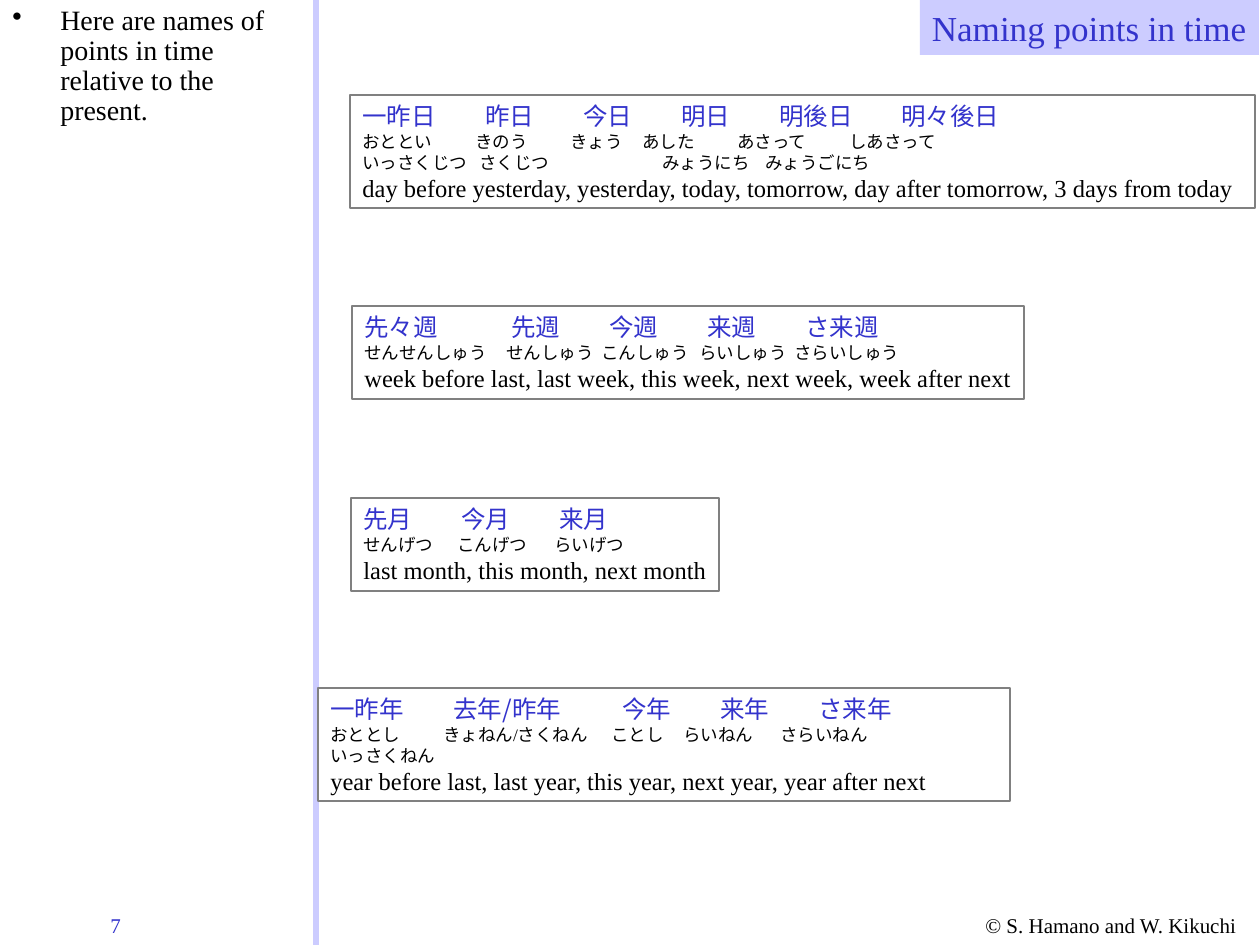
from lxml import etree
from pptx import Presentation
from pptx import util as u
from pptx.dml.color import RGBColor
from pptx.enum import shapes, text
from pptx.oxml.ns import qn

SERIF, SANS = "Times New Roman", "Noto Sans CJK JP"
BLUE, PALE, GRAY, BLACK = "3333CC", "CCCCFF", "808080", "000000"
KANJI = dict(size=14, name=SANS, color=BLUE)
KANA = dict(size=10, name=SERIF, color=BLACK)
GLOSS = dict(size=14, name=SERIF, color=BLACK)
SMALL = dict(size=12, name=SERIF, color=BLACK)
PAGE = dict(size=12, name=SERIF, color=BLUE)
HEAD = dict(size=20, name=SERIF, color=BLUE)
BODY = dict(size=16, name=SERIF, color=BLACK)

# Each row: words, tab stops in px, format
BOXES = [
    ((350, 95, 905, 113), [
        (["一昨日", "昨日", "今日", "明日", "明後日", "明々後日"], [123, 221, 319, 417, 539], KANJI),
        (["おととい", "きのう", "きょう", "あした", "あさって", "しあさって"],
         [113, 208, 280, 375, 487], KANA),
        (["いっさくじつ", "さくじつ", "みょうにち", "みょうごにち"], [117, 300, 403], KANA),
        (["day before yesterday, yesterday, today, tomorrow, "
          "day after tomorrow, 3 days from today"], [], GLOSS)]),
    ((352, 306, 672, 93), [
        (["先々週", "先週", "今週", "来週", "さ来週"], [147, 245, 343, 441], KANJI),
        (["せんせんしゅう", "せんしゅう", "こんしゅう", "らいしゅう", "さらいしゅう"],
         [142, 237, 335, 430], KANA),
        (["week before last, last week, this week, next week, week after next"], [], GLOSS)]),
    ((351, 498, 368, 93), [
        (["先月", "今月", "来月"], [98, 196], KANJI),
        (["せんげつ", "こんげつ", "らいげつ"], [94, 191], KANA),
        (["last month, this month, next month"], [], GLOSS)]),
    ((318, 688, 692, 113), [
        (["一昨年", "去年/昨年", "今年", "来年", "さ来年"], [123, 292, 390, 488], KANJI),
        (["おととし", "きょねん/さくねん", "ことし", "らいねん", "さらいねん"],
         [113, 281, 353, 450], KANA),
        (["いっさくねん"], [], KANA),
        (["year before last, last year, this year, next year, year after next"], [], GLOSS)]),
]
LABELS = [
    ((973, 906, 287, 38), "© S. Hamano and W. Kikuchi", SMALL),
    ((98, 906, 112, 38), "7", PAGE),
]
TITLE = ((920, 0, 339, 55), "Naming points in time", HEAD)
NOTE = ((0, 0, 316, 146), "Here are names of points in time relative to the present.", BODY)


def px(n):
    return u.Emu(round(n * 914400 / 126))


def rgb(code):
    return RGBColor.from_string(code)


def add(tag, node, **attrs):
    return etree.SubElement(node, qn(tag), attrs)


def style(run, form):
    for key, val in form.items():
        if key == "color":
            run.font.color.rgb = rgb(val)
        else:
            setattr(run.font, key, u.Pt(val) if key == "size" else val)
    add("a:ea", run.font._element, typeface=SANS)


def fill_text(shape, rows, left=0.1, right=0.0):
    frame = shape.text_frame
    form = dict(word_wrap=True, vertical_anchor=text.MSO_ANCHOR.TOP,
                margin_left=u.Inches(left), margin_right=u.Inches(right),
                margin_top=u.Inches(0.05), margin_bottom=u.Inches(0.05))
    for key, val in form.items():
        setattr(frame, key, val)
    for i, (words, stops, look) in enumerate(rows):
        para = frame.paragraphs[0] if i == 0 else frame.add_paragraph()
        para.alignment = text.PP_ALIGN.LEFT
        if stops:
            tabs = add("a:tabLst", para._p.get_or_add_pPr())
            for stop in stops:
                add("a:tab", tabs, pos=str(px(stop)), algn="l")
        run = para.add_run()
        run.text = "\t".join(words)
        style(run, look)
    return frame.paragraphs[0]


def add_label(slide, spot, words, look, **sides):
    box = slide.shapes.add_textbox(*map(px, spot))
    return fill_text(box, [([words], [], look)], **sides)


def add_rect(slide, spot, fill=None, line=None):
    box = slide.shapes.add_shape(shapes.MSO_SHAPE.RECTANGLE, *map(px, spot))
    box.shadow.inherit = False
    for part, code in ((box.fill, fill), (box.line.fill, line)):
        if code:
            part.solid()
            part.fore_color.rgb = rgb(code)
        else:
            part.background()
    if line:
        box.line.width = u.Pt(0.75)
    return box


def main():
    """Build the slide on names of points in time."""
    deck = Presentation()
    deck.slide_width, deck.slide_height = px(1260), px(945)
    slide = deck.slides.add_slide(deck.slide_layouts[6])

    for label in LABELS:
        add_label(slide, *label)

    rule = slide.shapes.add_connector(
        shapes.MSO_CONNECTOR.STRAIGHT, px(316), px(0), px(316), px(945))
    rule.line.color.rgb = rgb(PALE)
    rule.line.width = u.Pt(3)
    add("a:effectLst", rule._element.spPr)

    spot, words, look = TITLE
    head = fill_text(add_rect(slide, spot, fill=PALE), [([words], [], look)], 0, 0.1)
    head.alignment = text.PP_ALIGN.RIGHT

    note = add_label(slide, *NOTE, right=0.1)
    note.line_spacing = 0.9
    props = note._p.get_or_add_pPr()
    props.set("marL", str(px(48)))
    props.set("indent", str(-px(48)))
    add("a:srgbClr", add("a:buClr", props), val=BLACK)
    add("a:buChar", props, char="•")

    for spot, rows in BOXES:
        fill_text(add_rect(slide, spot, line=GRAY), rows)

    deck.save("out.pptx")


if __name__ == "__main__":
    main()
